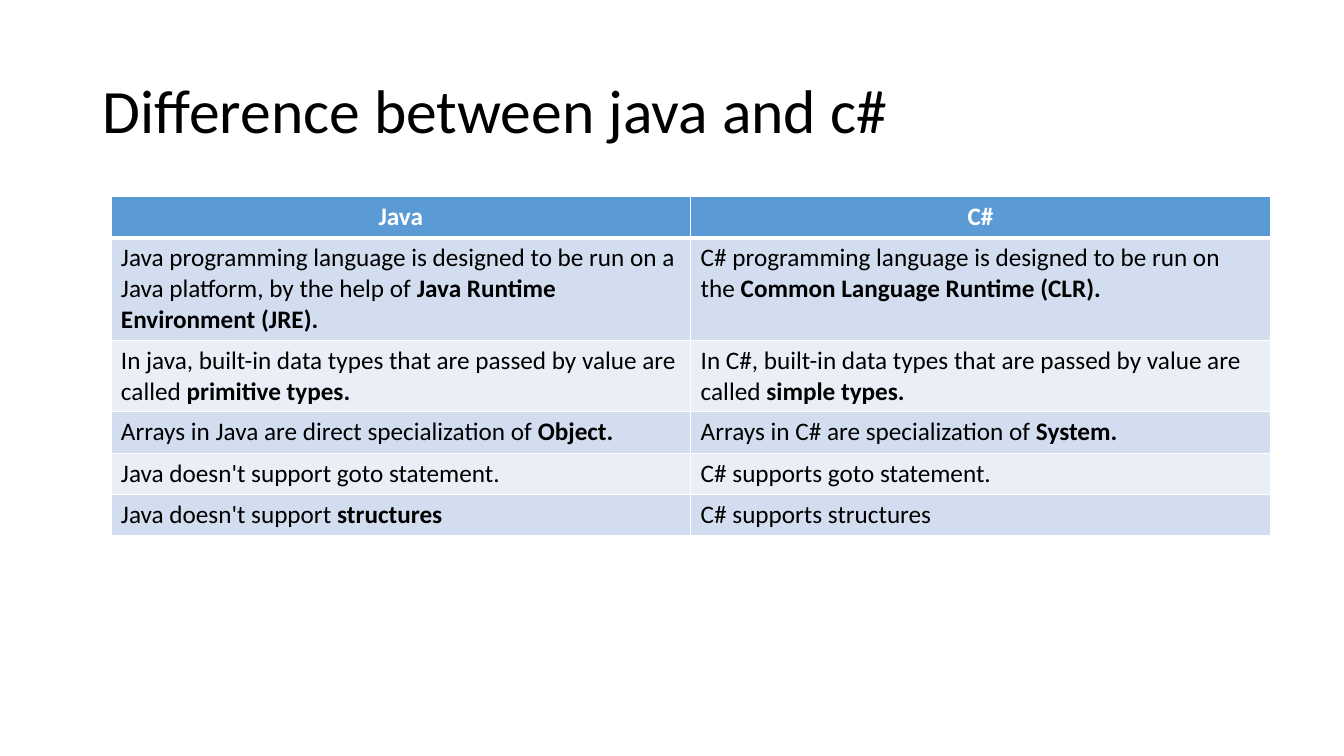
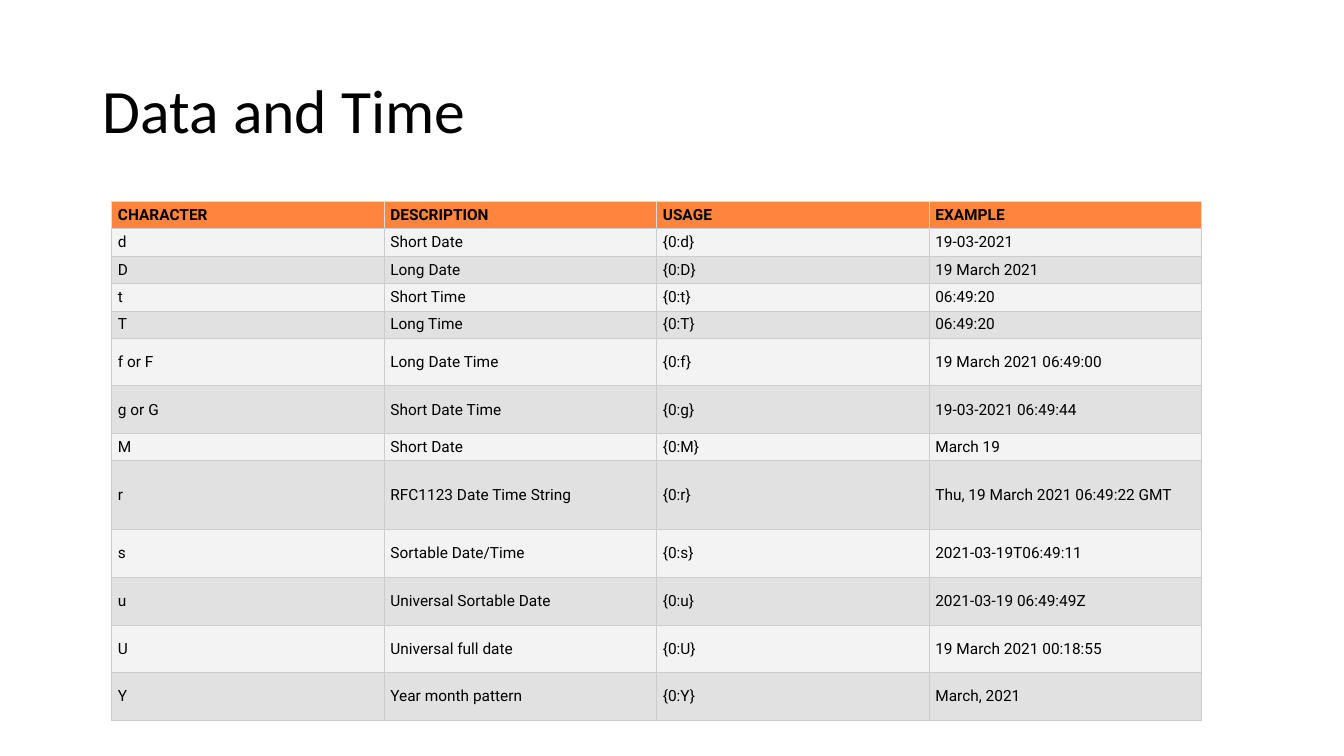
from dataclasses import dataclass, field
from typing import Any

from lxml import etree
from pptx import Presentation
from pptx import util as u
from pptx.dml.color import RGBColor
from pptx.enum import text as t
from pptx.oxml import ns

# Colours
BLACK = RGBColor(0x00, 0x00, 0x00)
WHITE = RGBColor(0xFF, 0xFF, 0xFF)
BLUE = RGBColor(0x5B, 0x9B, 0xD5)
SKY = RGBColor(0xD2, 0xDE, 0xEF)
MIST = RGBColor(0xEA, 0xEF, 0xF7)
ORANGE = RGBColor(0xFF, 0x84, 0x3D)
PALE = RGBColor(0xF3, 0xF3, 0xF3)
GREY = RGBColor(0xE2, 0xE1, 0xE1)
RULE = RGBColor(0xCC, 0xCC, 0xCC)
SILVER = RGBColor(0xD9, 0xDC, 0xDD)

HARD = chr(160)  # non-breaking space that ties a bold ending to its lead
TITLE_BOX = {"left": u.Inches(0.92), "top": u.Inches(0.4),
             "width": u.Inches(11.5), "height": u.Inches(1.45)}
TITLE_FONT = {"name": "Calibri", "size": u.Pt(44), "bold": False}


@dataclass(frozen=True)
class Edge:
    color: RGBColor
    width: float


@dataclass(frozen=True)
class Look:
    font: dict[str, Any]
    head: RGBColor
    ink: RGBColor
    bands: tuple[RGBColor, RGBColor]
    edge: Edge
    top: Edge    # outer and inner edges of the header row
    under: Edge  # line below the header row
    align: t.PP_ALIGN = t.PP_ALIGN.LEFT
    cell: dict[str, Any] = field(default_factory=dict)


@dataclass(frozen=True)
class Page:
    title: str
    box: tuple[float, float, float, float]
    rows: list[tuple[float, list[str]]]  # relative height, cells
    look: Look


THIN = Edge(WHITE, 1)
HAIR = Edge(RULE, 0.75)
SOFT = Edge(SILVER, 0.75)

BLUE_LOOK = Look({"name": "Calibri", "size": u.Pt(18)}, BLUE, WHITE,
                 (SKY, MIST), THIN, THIN, Edge(WHITE, 3), t.PP_ALIGN.CENTER)
ORANGE_LOOK = Look({"name": "Roboto", "size": u.Pt(11)}, ORANGE, BLACK,
                   (PALE, GREY), HAIR, SOFT, HAIR,
                   cell={"vertical_anchor": t.MSO_ANCHOR.MIDDLE,
                         "margin_left": u.Inches(0.06),
                         "margin_right": u.Inches(0.06),
                         "margin_top": u.Inches(0.03),
                         "margin_bottom": u.Inches(0.03)})

# A bar marks where the bold ending of a cell starts
PAGES = [
    Page("Difference between java and c#", (1.1, 1.95, 11.5, 2.46), [
        (0.41, ["Java", "C#"]),
        (0.41, ["Java programming language is designed to be run on a Java "
                "platform, by the help of|Java Runtime Environment (JRE).",
                "C# programming language is designed to be run on the|"
                "Common Language Runtime (CLR)."]),
        (0.41, ["In java, built-in data types that are passed by value are "
                "called|primitive types.",
                "In C#, built-in data types that are passed by value are "
                "called|simple types."]),
        (0.41, ["Arrays in Java are direct specialization of|Object.",
                "Arrays in C# are specialization of|System."]),
        (0.41, ["Java doesn't support goto statement.",
                "C# supports goto statement."]),
        (0.41, ["Java doesn't support|structures",
                "C# supports structures"]),
    ], BLUE_LOOK),
    Page("Data and Time", (1.11, 2, 10.81, 5.15), [
        (0.27, ["CHARACTER", "DESCRIPTION", "USAGE", "EXAMPLE"]),
        (0.27, ["d", "Short Date", "{0:d}", "19-03-2021"]),
        (0.27, ["D", "Long Date", "{0:D}", "19 March 2021"]),
        (0.27, ["t", "Short Time", "{0:t}", "06:49:20"]),
        (0.27, ["T", "Long Time", "{0:T}", "06:49:20"]),
        (0.47, ["f or F", "Long Date Time", "{0:f}", "19 March 2021 06:49:00"]),
        (0.47, ["g or G", "Short Date Time", "{0:g}", "19-03-2021 06:49:44"]),
        (0.27, ["M", "Short Date", "{0:M}", "March 19"]),
        (0.68, ["r", "RFC1123 Date Time String", "{0:r}",
                "Thu, 19 March 2021 06:49:22 GMT"]),
        (0.47, ["s", "Sortable Date/Time", "{0:s}", "2021-03-19T06:49:11"]),
        (0.47, ["u", "Universal Sortable Date", "{0:u}",
                "2021-03-19 06:49:49Z"]),
        (0.47, ["U", "Universal full date", "{0:U}", "19 March 2021 00:18:55"]),
        (0.47, ["Y", "Year month pattern", "{0:Y}", "March, 2021"]),
    ], ORANGE_LOOK),
]


def apply(obj: Any, vals: dict[str, Any]) -> None:
    for key, val in vals.items():
        setattr(obj, key, val)


def add_run(para: Any, words: str, font: dict[str, Any],
            color: RGBColor) -> None:
    run = para.add_run()
    run.text = words
    apply(run.font, font)
    run.font.color.rgb = color


def set_edges(cell: Any, edges: dict[str, Edge]) -> None:
    """Put the border lines ahead of the cell fill, as the schema asks."""
    props = cell._tc.get_or_add_tcPr()
    for spot, (side, edge) in enumerate(edges.items()):
        line = etree.Element(ns.qn(f"a:ln{side}"), w=str(u.Pt(edge.width)))
        fill = etree.SubElement(line, ns.qn("a:solidFill"))
        etree.SubElement(fill, ns.qn("a:srgbClr"), val=str(edge.color))
        props.insert(spot, line)


def fill_cell(cell: Any, words: str, row: int, look: Look) -> None:
    head = row == 0
    apply(cell, look.cell)
    cell.fill.solid()
    cell.fill.fore_color.rgb = look.head if head else look.bands[(row - 1) % 2]

    # Text: plain lead, then an optional bold ending
    para = cell.text_frame.paragraphs[0]
    para.alignment = look.align if head else t.PP_ALIGN.LEFT
    lead, _, strong = words.partition("|")
    ink = look.ink if head else BLACK
    add_run(para, lead + HARD if strong else lead,
            look.font | {"bold": head}, ink)
    if strong:
        add_run(para, strong, look.font | {"bold": True}, ink)

    # Borders
    side = look.top if head else look.edge
    set_edges(cell, {"L": side, "R": side,
                     "T": look.under if row == 1 else side,
                     "B": look.under if head else side})


def add_title(slide: Any, words: str) -> None:
    title = slide.shapes.title
    apply(title, TITLE_BOX)
    apply(title.text_frame, {"vertical_anchor": t.MSO_ANCHOR.MIDDLE,
                             "auto_size": t.MSO_AUTO_SIZE.NONE,
                             "word_wrap": True})
    para = title.text_frame.paragraphs[0]
    apply(para, {"alignment": t.PP_ALIGN.LEFT, "line_spacing": 0.9})
    add_run(para, words, TITLE_FONT, BLACK)


def add_grid(slide: Any, page: Page) -> None:
    left, top, width, height = page.box
    count = len(page.rows[0][1])
    grid = slide.shapes.add_table(
        len(page.rows), count, u.Inches(left), u.Inches(top),
        u.Inches(width), u.Inches(height)).table
    apply(grid, {"first_row": True, "horz_banding": False})
    for col in grid.columns:
        col.width = u.Inches(width / count)
    scale = height / sum(size for size, _ in page.rows)
    for row, (size, cells) in enumerate(page.rows):
        grid.rows[row].height = u.Inches(size * scale)
        for col, words in enumerate(cells):
            fill_cell(grid.cell(row, col), words, row, page.look)


def main() -> None:
    deck = Presentation()
    apply(deck, {"slide_width": u.Inches(13.33),
                 "slide_height": u.Inches(7.5)})
    for page in PAGES:
        slide = deck.slides.add_slide(deck.slide_layouts.get_by_name("Title Only"))
        add_title(slide, page.title)
        add_grid(slide, page)
    deck.save("out.pptx")


if __name__ == "__main__":
    main()
